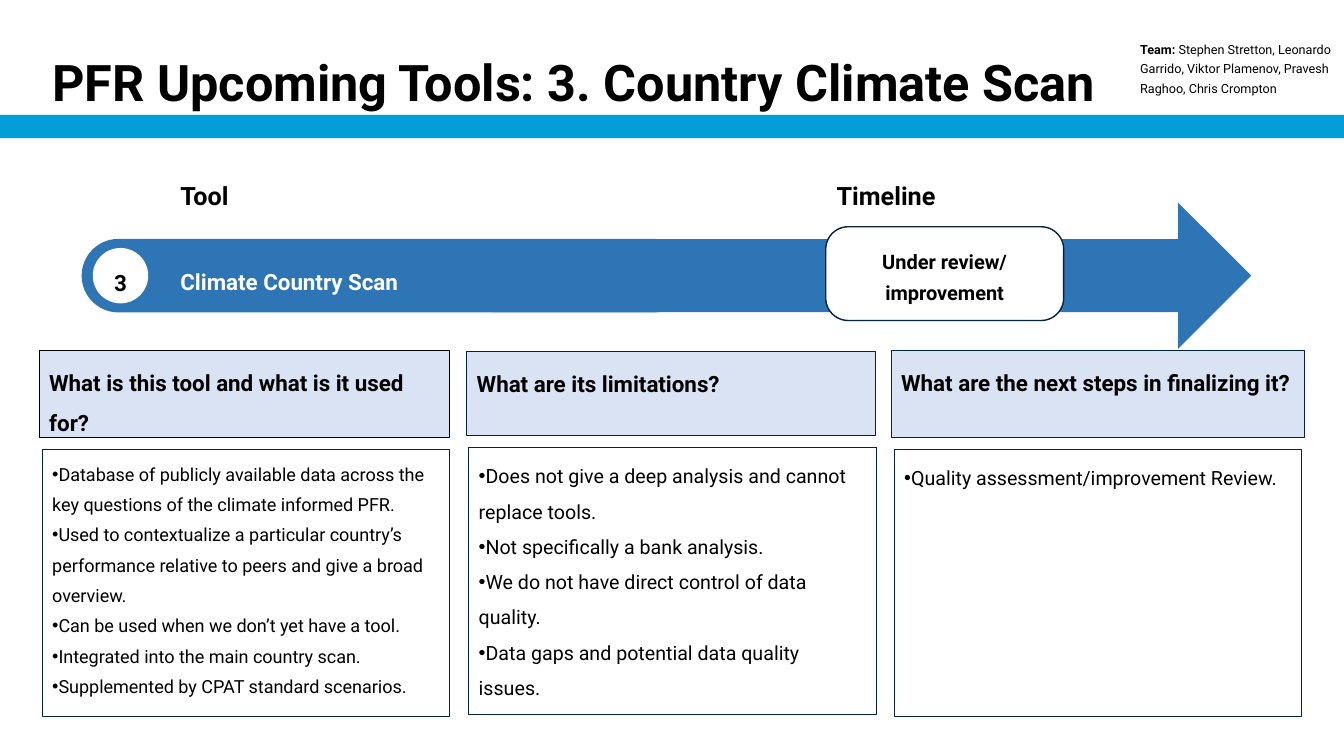
"""Build the Country Climate Scan slide: title, timeline arrow and three panels."""
from lxml import etree
from pptx import Presentation
from pptx import util as u
from pptx.dml.color import RGBColor
from pptx.enum import shapes, text
from pptx.oxml.ns import qn

PX = 9144
BLACK = RGBColor(0x00, 0x00, 0x00)
WHITE = RGBColor(0xFF, 0xFF, 0xFF)
CYAN = RGBColor(0x00, 0x9F, 0xDA)
BLUE = RGBColor(0x2E, 0x75, 0xB6)
NAVY = RGBColor(0x04, 0x22, 0x45)
PALE = RGBColor(0xDA, 0xE3, 0xF3)
KIND = shapes.MSO_SHAPE
TOP, MID, LOW = text.MSO_ANCHOR.TOP, text.MSO_ANCHOR.MIDDLE, text.MSO_ANCHOR.BOTTOM
LEFT, MIDST = text.PP_ALIGN.LEFT, text.PP_ALIGN.CENTER


def draw(kind, box, fill=None, line=None, width=0.75):
    """Add a preset shape with a flat fill and an optional outline."""
    shape = slide.shapes.add_shape(kind, *[n * PX for n in box])
    shape.shadow.inherit = False
    if fill is None:
        shape.fill.background()
    else:
        shape.fill.solid()
        shape.fill.fore_color.rgb = fill
    if line is None:
        shape.line.fill.background()
    else:
        shape.line.color.rgb = line
        shape.line.width = u.Pt(width)
    return shape


def write(shape, paras, size, color=BLACK, bold=True, gap=1.5,
          align=LEFT, anchor=TOP, bullet=False):
    """Fill a shape with paragraphs; each is a string or a list of (words, bold)."""
    frame = shape.text_frame
    frame.word_wrap = True
    frame.auto_size = text.MSO_AUTO_SIZE.NONE
    frame.vertical_anchor = anchor
    for i, words in enumerate(paras):
        para = frame.add_paragraph() if i else frame.paragraphs[0]
        form = {"alignment": align, "line_spacing": gap, "space_before": u.Pt(0)}
        for key, val in form.items():
            setattr(para, key, val)
        if bullet:
            props = para._p.get_or_add_pPr()
            props.set("marL", "0")
            props.set("indent", str(-25 * PX))
            etree.SubElement(props, qn("a:buFont")).set("typeface", "Arial")
            etree.SubElement(props, qn("a:buChar")).set("char", "•")
        for part, heavy in [(words, bold)] if isinstance(words, str) else words:
            run = para.add_run()
            run.text = part
            look = {"name": "Roboto", "size": u.Pt(size), "bold": heavy}
            for key, val in look.items():
                setattr(run.font, key, val)
            run.font.color.rgb = color


deck = Presentation()
deck.slide_width, deck.slide_height = 1333 * PX, 750 * PX
slide = deck.slides.add_slide(deck.slide_layouts[5])

title = slide.shapes.title
place = {"left": 42, "top": 52, "width": 1248, "height": 63}
for key, val in place.items():
    setattr(title, key, val * PX)
write(title, ["PFR Upcoming Tools: 3. Country Climate Scan"], 36, gap=0.8, anchor=LOW)

draw(KIND.RECTANGLE, (0, 114, 1335, 23), CYAN)
bar = draw(KIND.ROUNDED_RECTANGLE, (81, 237, 604, 73), BLUE)
bar.adjustments[0] = 0.5
draw(KIND.RIGHT_ARROW, (488, 201, 753, 145), BLUE)

state = draw(KIND.ROUNDED_RECTANGLE, (819, 225, 236, 93), WHITE, NAVY, 1)
state.adjustments[0] = 0.24
write(state, ["Under review/ improvement"], 14.3, gap=1.3, align=MIDST, anchor=MID)

badge = draw(KIND.OVAL, (92, 246, 55, 55), WHITE)
for side in ("left", "top", "right", "bottom"):
    setattr(badge.text_frame, "margin_" + side, 0)
write(badge, ["3"], 16, align=MIDST, anchor=MID)

team = [("Team: ", True),
        ("Stephen Stretton, Leonardo Garrido, Viktor Plamenov, Pravesh Raghoo, "
         "Chris Crompton", False)]
labels = [
    ((169, 159, 221, 58), "Tool", {"size": 18}),
    ((820, 159, 221, 63), "Timeline", {"size": 18}),
    ((169, 248, 569, 52), "Climate Country Scan", {"size": 16, "color": WHITE}),
    ((1121, 13, 212, 106), team, {"size": 9, "gap": 1.3, "anchor": MID}),
]
for box, words, form in labels:
    write(slide.shapes.add_textbox(*[n * PX for n in box]), [words], **form)

panels = [
    ((39, 348, 407, 86), BLACK, "What is this tool and what is it used for?",
     (42, 446, 404, 265), 12.9, 1.4,
     ["Database of publicly available data across the key questions of the "
      "climate informed PFR.",
      "Used to contextualize a particular country’s performance relative to "
      "peers and give a broad overview.",
      "Can be used when we don’t yet have a tool.",
      "Integrated into the main country scan.",
      "Supplemented by CPAT standard scenarios."]),
    ((463, 349, 405, 83), NAVY, "What are its limitations?",
     (465, 444, 404, 265), 14, 1.5,
     ["Does not give a deep analysis and cannot replace tools.",
      "Not specifically a bank analysis.",
      "We do not have direct control of data quality.",
      "Data gaps and potential data quality issues."]),
    ((884, 348, 410, 86), NAVY, "What are the next steps in finalizing it?",
     (887, 446, 404, 265), 14, 1.5,
     ["Quality assessment/improvement Review."]),
]
for head, edge, ask, body, size, gap, points in panels:
    write(draw(KIND.RECTANGLE, head, PALE, edge), [ask], 16)
    write(draw(KIND.RECTANGLE, body, None, NAVY), points, size,
          bold=False, gap=gap, bullet=True)

deck.save("out.pptx")
